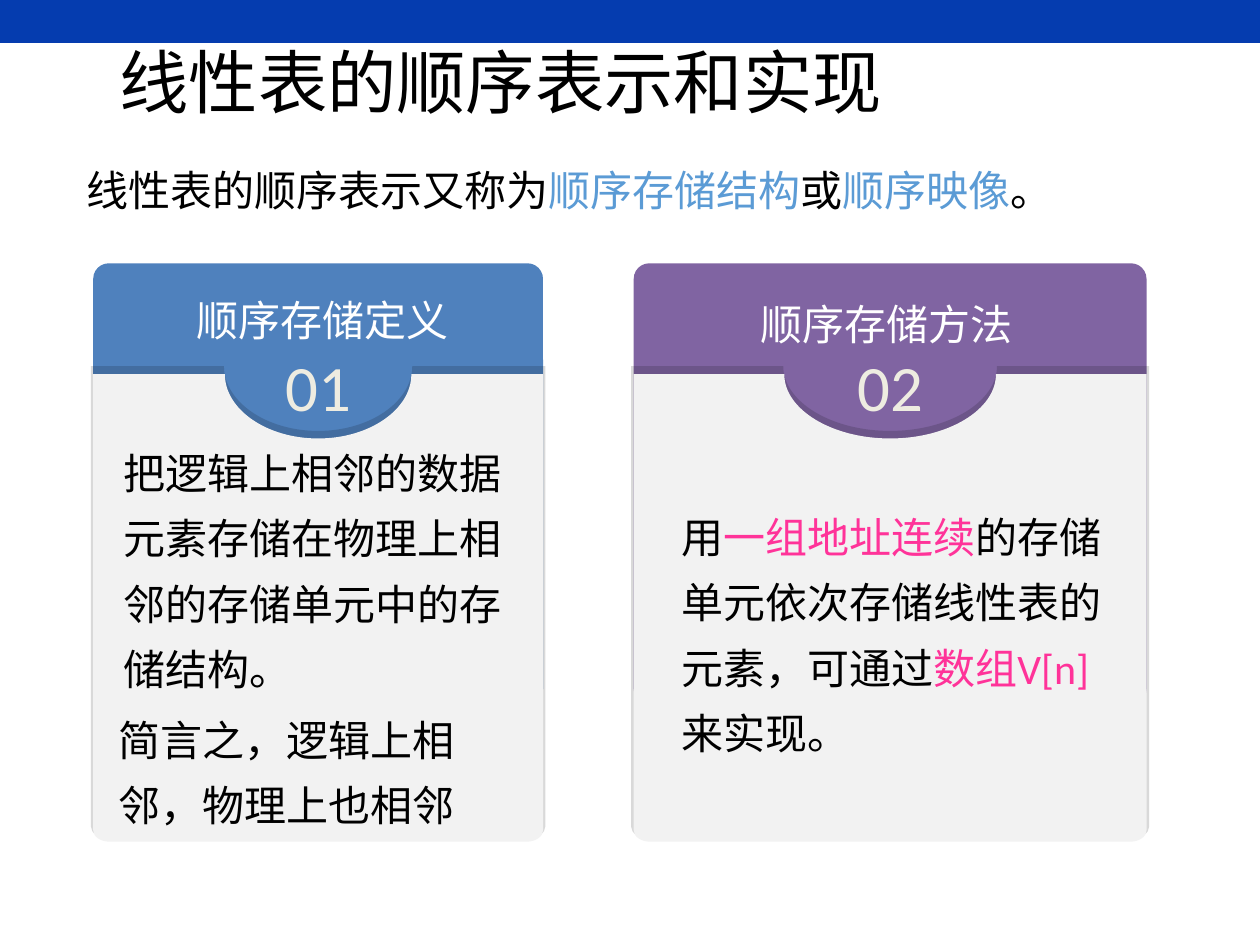
"""Build a slide on the sequential representation of linear lists."""
from lxml import etree
from pptx import Presentation
from pptx.dml.color import RGBColor
from pptx.enum import shapes, text
from pptx.oxml import ns
from pptx.util import Inches, Pt

BLACK = RGBColor(0x00, 0x00, 0x00)
WHITE = RGBColor(0xFF, 0xFF, 0xFF)
BANNER = RGBColor(0x05, 0x3C, 0xAF)
TERM = RGBColor(0x5B, 0x9B, 0xD5)
PINK = RGBColor(0xFF, 0x33, 0x99)
BLUE = RGBColor(0x4F, 0x81, 0xBD)
PURPLE = RGBColor(0x80, 0x64, 0xA2)
PANEL = RGBColor(0xF2, 0xF2, 0xF2)
NUMBER = RGBColor(0xEE, 0xEC, 0xE1)
BEND = 0.55


def paint(shape, color):
    """Give a shape a flat fill with no line and no shadow."""
    shape.shadow.inherit = False
    shape.fill.solid()
    shape.fill.fore_color.rgb = color
    shape.line.fill.background()


def add_block(page, kind, color, left, top, width, height):
    """Add a filled preset shape."""
    block = page.shapes.add_shape(
        kind, Inches(left), Inches(top), Inches(width), Inches(height))
    paint(block, color)
    return block


def add_text(page, spans, left, top, width, height, *, size=24, font="Calibri",
             color=BLACK, spacing=1.3, align=None, anchor=None, wrap=True, grow=True):
    """Add one paragraph made of plain strings or (string, color) pairs."""
    box = page.shapes.add_textbox(
        Inches(left), Inches(top), Inches(width), Inches(height))
    frame = box.text_frame
    frame.word_wrap = wrap
    frame.auto_size = (text.MSO_AUTO_SIZE.SHAPE_TO_FIT_TEXT if grow
                       else text.MSO_AUTO_SIZE.NONE)
    if anchor is not None:
        frame.vertical_anchor = anchor
    para = frame.paragraphs[0]
    para.line_spacing = spacing
    para.alignment = align
    for item in spans:
        words, tint = item if isinstance(item, tuple) else (item, color)
        span = para.add_run()
        span.text = words
        span.font.size = Pt(size)
        span.font.name = font
        span.font.color.rgb = tint


def quarter(start, corner, end):
    """Return the three Bezier points of a quarter oval bent towards a corner."""
    controls = [tuple(p + BEND * (c - p) for p, c in zip(point, corner))
                for point in (start, end)]
    return controls + [end]


def add_path(page, start, segments):
    """Add a closed freeform; a segment has one point (line) or three (curve)."""
    points = [(Inches(x), Inches(y)) for segment in segments for x, y in segment]
    builder = page.shapes.build_freeform(Inches(start[0]), Inches(start[1]), scale=1.0)
    builder.add_line_segments(points, close=True)
    shape = builder.convert_to_shape()
    lines = iter(list(shape._element.iter(ns.qn("a:lnTo"))))
    for segment in segments:
        steps = [next(lines) for _ in segment]
        if len(steps) == 3:
            curve = etree.Element(ns.qn("a:cubicBezTo"))
            steps[0].addprevious(curve)
            for step in steps:
                curve.append(step[0])
                step.getparent().remove(step)
    return shape


def add_shadow(shape):
    """Cast a faint, slightly enlarged shadow upwards."""
    effects = shape._element.spPr.find(ns.qn("a:effectLst"))
    shadow = etree.SubElement(effects, ns.qn("a:outerShdw"), {
        "dist": str(Pt(2)), "dir": "16200000", "sx": "101000", "sy": "101000",
        "algn": "b", "rotWithShape": "0"})
    tint = etree.SubElement(shadow, ns.qn("a:srgbClr"), val=str(BLACK))
    etree.SubElement(tint, ns.qn("a:alpha"), val="14000")


def add_panel(page, left, top, width, height, notch):
    """Add a panel with a half-oval notch on top and round lower corners."""
    right, bottom, middle = left + width, top + height, left + width / 2
    round_x, round_y, depth = 0.13, 0.09, 0.51
    low = (middle, top + depth)
    near, far = (middle - notch, top), (middle + notch, top)
    right_end, left_start = (right, bottom - round_y), (left + round_x, bottom)
    segments = [
        [near],
        quarter(near, (near[0], low[1]), low),
        quarter(low, (far[0], low[1]), far),
        [(right, top)],
        [right_end],
        quarter(right_end, (right, bottom), (right - round_x, bottom)),
        [left_start],
        quarter(left_start, (left, bottom), (left, bottom - round_y)),
    ]
    panel = add_path(page, (left, top), segments)
    paint(panel, PANEL)
    add_shadow(panel)


def add_card(page, number, color, left, width, notch):
    """Add a coloured header, its notched panel and the card number."""
    header = add_block(page, shapes.MSO_SHAPE.ROUNDED_RECTANGLE, color,
                       left, 2.09, width, 3.5)
    header.adjustments[0] = 0.035
    add_panel(page, left, 2.97, width, 3.71, notch)
    add_text(page, [number], left + width / 2 - 0.36, 2.7, 0.72, 0.67, size=37,
             color=NUMBER, spacing=1.0, align=text.PP_ALIGN.CENTER,
             wrap=False, grow=False)


def main():
    """Build and save the slide."""
    deck = Presentation()
    deck.slide_width, deck.slide_height = Inches(10), Inches(7.5)
    page = deck.slides.add_slide(deck.slide_layouts[6])

    add_block(page, shapes.MSO_SHAPE.RECTANGLE, BANNER, 0, 0, 10, 0.34)
    add_text(page, ["线性表的顺序表示又称为", ("顺序存储结构", TERM), "或",
                    ("顺序映像", TERM), "。"], 0.59, 1.14, 9.23, 0.57)
    add_text(page, ["线性表的顺序表示和实现"], 0.85, 0.31, 6.73, 0.75, size=39.6,
             font="Times New Roman", spacing=0.9,
             anchor=text.MSO_ANCHOR.MIDDLE, grow=False)

    add_card(page, "01", BLUE, 0.74, 3.57, 0.74)
    add_card(page, "02", PURPLE, 5.03, 4.07, 0.84)

    add_text(page, ["顺序存储定义"], 1.46, 2.17, 2.6, 0.57, color=WHITE)
    add_text(page, ["把逻辑上相邻的数据元素存储在物理上相邻的存储单元中的存储结构。"],
             0.88, 3.38, 3.34, 2.2)
    add_text(page, ["简言之，逻辑上相邻，物理上也相邻"], 0.74, 5.5, 3.07, 1.1,
             align=text.PP_ALIGN.CENTER)
    add_text(page, ["顺序存储方法"], 5.94, 2.2, 2.84, 0.57, color=WHITE)
    add_text(page, ["用", ("一组地址连续", PINK),
                    "的存储单元依次存储线性表的元素，可通过",
                    ("数组V[n]", PINK), "来实现。"], 5.31, 3.89, 3.62, 2.2)

    deck.save("out.pptx")


if __name__ == "__main__":
    main()
